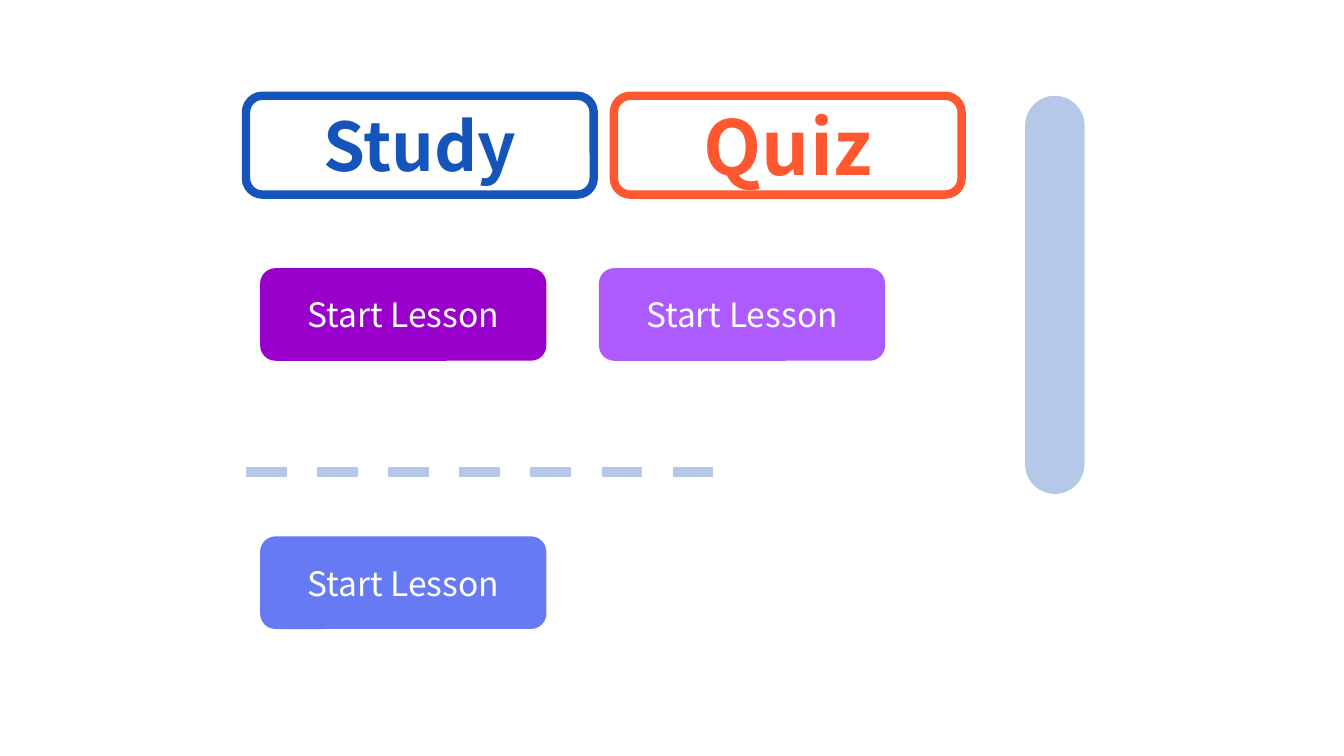
from pptx import Presentation
from pptx.dml.color import RGBColor
from pptx.enum.dml import MSO_LINE
from pptx.enum.shapes import MSO_CONNECTOR, MSO_SHAPE
from pptx.enum.text import MSO_ANCHOR, PP_ALIGN
from pptx.util import Pt
from lxml import etree

ROUNDED = MSO_SHAPE.ROUNDED_RECTANGLE
BUTTON = MSO_SHAPE.FLOWCHART_ALTERNATE_PROCESS
STRAIGHT = MSO_CONNECTOR.STRAIGHT
DASH = MSO_LINE.DASH
BOTTOM, MIDDLE = MSO_ANCHOR.BOTTOM, MSO_ANCHOR.MIDDLE
CENTER = PP_ALIGN.CENTER

FONT = "Noto Sans CJK KR"
COLORS = {
    "study": "1554BB",
    "quiz": "FF572F",
    "purple": "9900CC",
    "violet": "AD5BFF",
    "periwinkle": "667AF4",
    "divider": "B6C8E8",
    "white": "FFFFFF",
}

TABS = [("Study", "study", 48, BOTTOM), ("Quiz", "quiz", 54, MIDDLE)]
LESSONS = [
    ("Start Lesson", "purple", 0, 0),
    ("Start Lesson", "violet", 1, 0),
    ("Start Lesson", "periwinkle", 0, 1),
]

LEFT, TOP = 175.7, 68.4
TAB_W, TAB_H, TAB_STEP = 248.4, 70.6, 262.8
LESSON_LEFT, LESSON_TOP = 185.8, 191.5
LESSON_W, LESSON_H = 204.5, 66.2
LESSON_STEP_X, LESSON_STEP_Y = 242, 191.6
BAR = (732.2, TOP, 42.5, 284.4)
DIVIDER_Y, DIVIDER_RIGHT = 337, 520.6


def color(name):
    return RGBColor.from_string(COLORS[name])


def add_box(kind, box, fill=None, line=None):
    sp = s.shapes.add_shape(kind, *map(Pt, box))
    sp.shadow.inherit = False
    if fill:
        sp.fill.solid()
        sp.fill.fore_color.rgb = color(fill)
    else:
        sp.fill.background()
    if line:
        sp.line.color.rgb = color(line)
        sp.line.width = Pt(6)
    else:
        sp.line.fill.background()
    return sp


def write(sp, text, size, text_color, anchor=MIDDLE, bold=False):
    tf = sp.text_frame
    tf.word_wrap = True
    tf.vertical_anchor = anchor
    p = tf.paragraphs[0]
    p.text = text
    p.alignment = CENTER
    p.font.name = FONT
    p.font.size = Pt(size)
    p.font.bold = bold
    p.font.color.rgb = color(text_color)


prs = Presentation()
prs.slide_width, prs.slide_height = Pt(960), Pt(540)
s = prs.slides.add_slide(prs.slide_layouts[6])

for i, (text, tab_color, size, anchor) in enumerate(TABS):
    sp = add_box(ROUNDED, (LEFT + i * TAB_STEP, TOP, TAB_W, TAB_H), line=tab_color)
    write(sp, text, size, tab_color, anchor, bold=True)

for text, fill, col, row in LESSONS:
    x = LESSON_LEFT + col * LESSON_STEP_X
    y = LESSON_TOP + row * LESSON_STEP_Y
    sp = add_box(BUTTON, (x, y, LESSON_W, LESSON_H), fill=fill)
    write(sp, text, 24, "white")

bar = add_box(ROUNDED, BAR, fill="divider")
bar.adjustments[0] = 0.5

divider = s.shapes.add_connector(
    STRAIGHT, Pt(LEFT), Pt(DIVIDER_Y), Pt(DIVIDER_RIGHT), Pt(DIVIDER_Y))
divider.line.color.rgb = color("divider")
divider.line.width = Pt(7.25)
divider.line.dash_style = DASH
spPr = divider._element.spPr
etree.SubElement(spPr, "{http://schemas.openxmlformats.org/drawingml/2006/main}effectLst")

prs.save("out.pptx")
